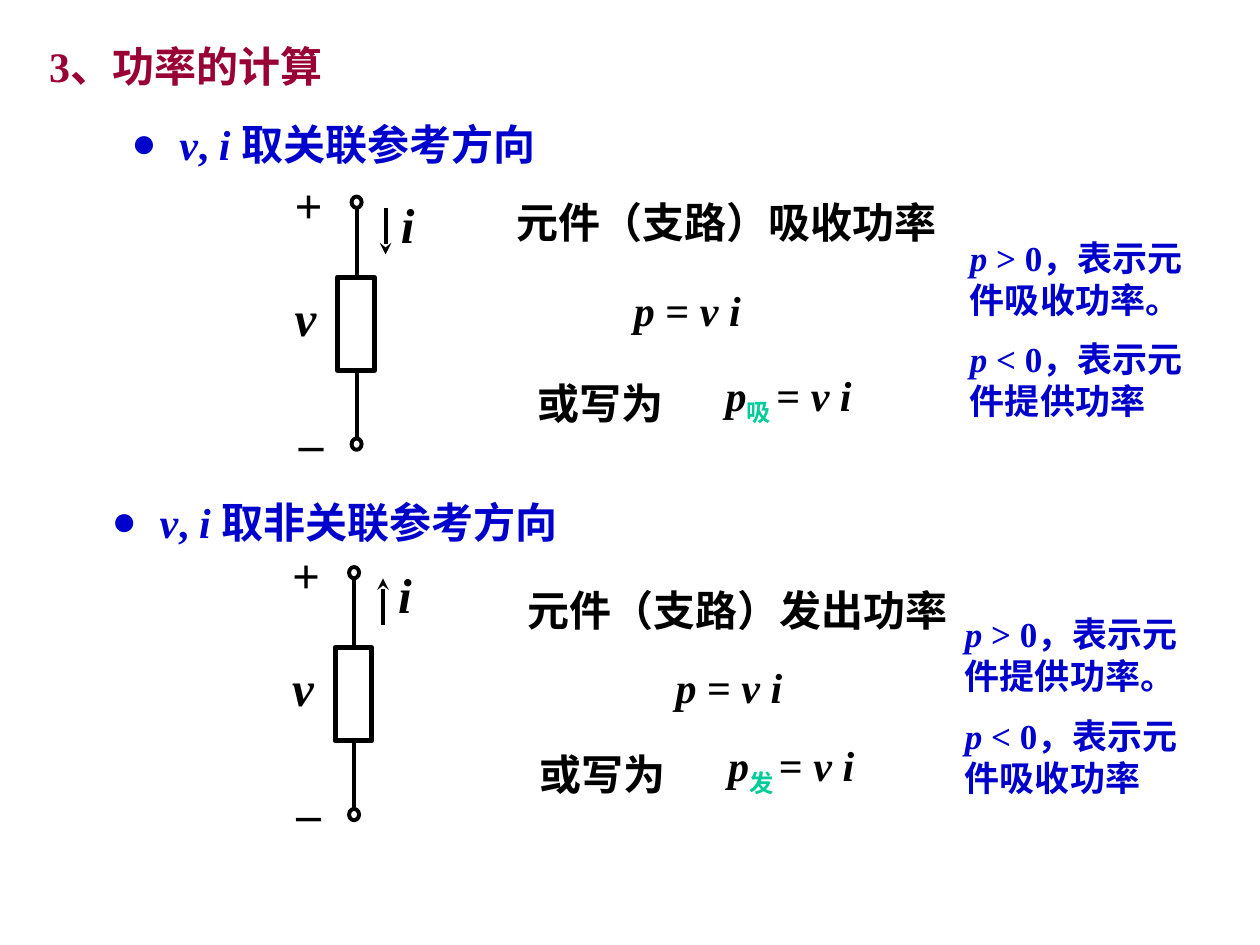
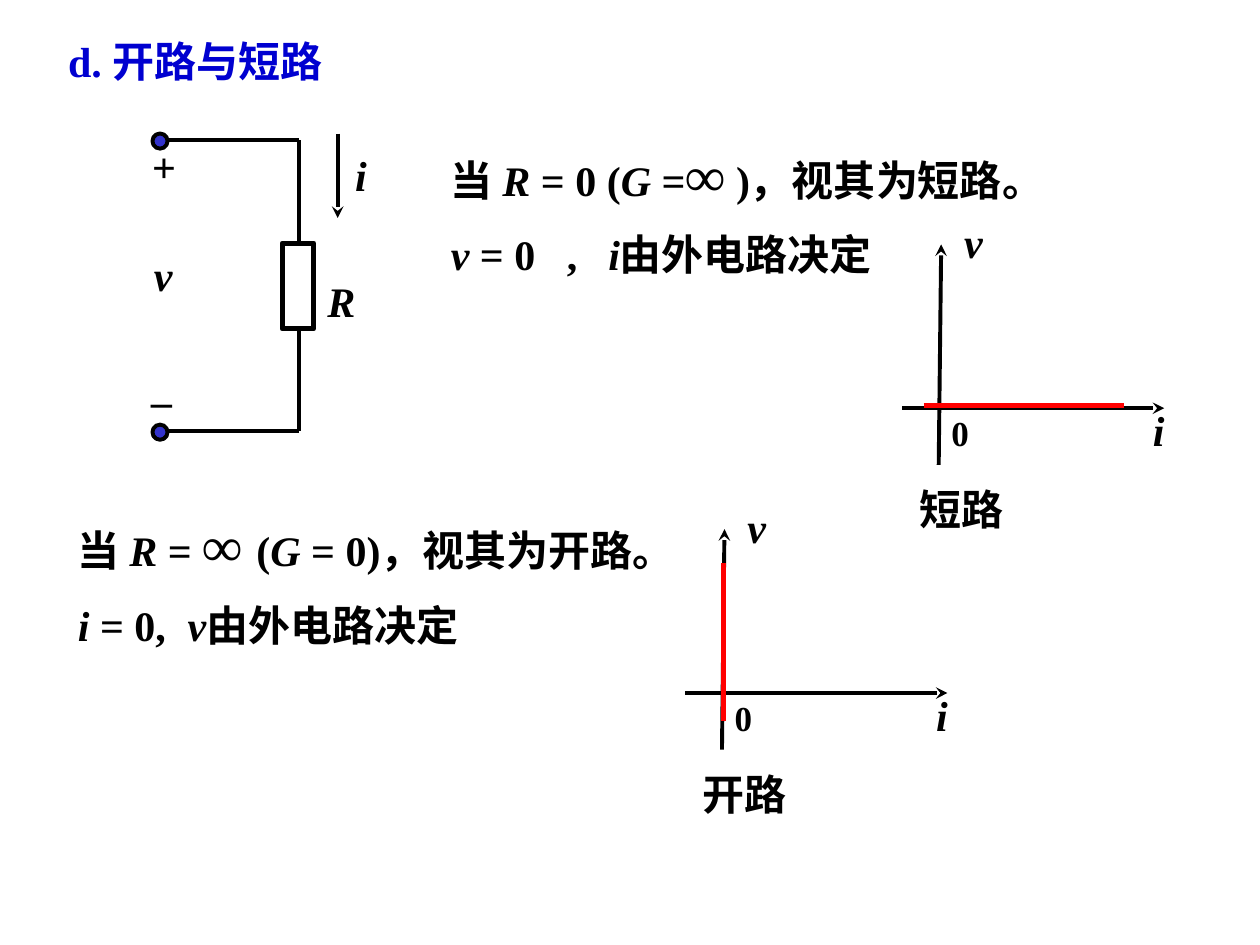
from dataclasses import dataclass

from lxml import etree
from pptx import Presentation
from pptx.dml.color import RGBColor
from pptx.enum.shapes import MSO_CONNECTOR, MSO_SHAPE
from pptx.enum.text import MSO_ANCHOR, MSO_AUTO_SIZE, PP_ALIGN
from pptx.oxml.ns import qn
from pptx.util import Inches, Pt

STRAIGHT = MSO_CONNECTOR.STRAIGHT
RECTANGLE, OVAL = MSO_SHAPE.RECTANGLE, MSO_SHAPE.OVAL
MIDDLE = MSO_ANCHOR.MIDDLE
FIT_SHAPE = MSO_AUTO_SIZE.SHAPE_TO_FIT_TEXT
LEFT, CENTER = PP_ALIGN.LEFT, PP_ALIGN.CENTER


@dataclass(frozen=True)
class Theme:
    font: str = "Times New Roman"
    black: RGBColor = RGBColor(0x00, 0x00, 0x00)
    white: RGBColor = RGBColor(0xFF, 0xFF, 0xFF)
    maroon: RGBColor = RGBColor(0x99, 0x00, 0x33)
    blue: RGBColor = RGBColor(0x00, 0x00, 0xCC)
    title_blue: RGBColor = RGBColor(0x00, 0x00, 0xD0)
    terminal: RGBColor = RGBColor(0x33, 0x33, 0xCC)
    green: RGBColor = RGBColor(0x00, 0xCC, 0x99)
    red: RGBColor = RGBColor(0xFF, 0x00, 0x00)
    note: int = 20
    text: int = 24
    symbol: int = 28
    infinity: int = 32
    wire: float = 2.25
    thick: float = 3


theme = Theme()


def put_text(page, at, lines, size=theme.text, color=theme.black, align=CENTER,
             wrap=False, box=None, bullet=None, tabs=()):
    left, top, width, height = [Inches(length) for length in at]
    box = box or page.shapes.add_textbox(left, top, width, height)
    box.left, box.top, box.width, box.height = left, top, width, height
    frame = box.text_frame
    frame.word_wrap = wrap
    frame.auto_size = FIT_SHAPE
    frame.vertical_anchor = MIDDLE
    for number, pieces in enumerate(lines):
        para = frame.add_paragraph() if number else frame.paragraphs[0]
        para.alignment = align
        para.space_before = Pt(size / 2 if number else 0)
        properties = para._p.get_or_add_pPr()
        if bullet:
            properties.set("marL", str(Inches(0.38)))
            properties.set("indent", str(-Inches(0.38)))
            etree.SubElement(properties, qn("a:buFont"), typeface=theme.font)
            etree.SubElement(properties, qn("a:buChar"), char=bullet)
        if number and tabs:
            stops = etree.SubElement(properties, qn("a:tabLst"))
            for stop in tabs:
                etree.SubElement(stops, qn("a:tab"), pos=str(Inches(stop)), algn="l")
        for words, style in pieces:
            span = para.add_run()
            span.text = words
            span.font.name = theme.font
            span.font.size = Pt(theme.infinity if style == "infinity" else size)
            span.font.bold = True
            span.font.italic = style == "italic"
            span.font.color.rgb = theme.green if style == "subscript" else color
            if style == "subscript":
                span._r.get_or_add_rPr().set("baseline", "-25000")
    return box


def draw_line(page, start, end, color=theme.black, width=theme.wire, arrow=False):
    line = page.shapes.add_connector(STRAIGHT, *[Inches(place) for place in start + end])
    line.line.color.rgb = color
    line.line.width = Pt(width)
    if arrow:
        etree.SubElement(line.line._get_or_add_ln(), qn("a:tailEnd"), type="stealth")
    etree.SubElement(line._element.spPr, qn("a:effectLst"))


deck = Presentation()
deck.slide_width, deck.slide_height = Inches(10), Inches(7.5)

page = deck.slides.add_slide(deck.slide_layouts[3])
put_text(page, (0.29, 0.27, 2.7, 0.5), [[("3、功率的计算", "")]], color=theme.maroon,
         align=LEFT, wrap=True, box=page.shapes.title)

equation = [("= ", ""), ("v i", "italic")]
cases = [
    dict(dx=0, dy=0, bullet_at=(0.56, 0.89), heading="取关联参考方向", current=(1.65, 2.02),
         power="吸收", power_at=(4, 1.51), formula_at=(4.93, 2.21), mark="吸",
         notes=("吸收", "提供"), notes_at=(7.6, 1.81)),
    dict(dx=-0.02, dy=2.94, bullet_at=(0.57, 3.89), heading="取非关联参考方向", current=(2.02, 1.65),
         power="发出", power_at=(4.09, 4.59), formula_at=(5.26, 5.2), mark="发",
         notes=("提供", "吸收"), notes_at=(7.56, 4.8)),
]
for number, case in enumerate(cases, 1):
    dx, dy = case["dx"], case["dy"]
    put_text(page, case["bullet_at"] + (4.17, 0.5),
             [[("v", "italic"), (", ", ""), ("i ", "italic"), (case["heading"], "")]],
             color=theme.blue, wrap=True, box=page.placeholders[number], bullet="●")

    for top, bottom in ((1.65, 2.2), (2.95, 3.48)):
        draw_line(page, (2.83 + dx, top + dy), (2.83 + dx, bottom + dy))
    element = page.shapes.add_shape(RECTANGLE, Inches(2.68 + dx), Inches(2.2 + dy),
                                    Inches(0.29), Inches(0.74))
    element.shadow.inherit = False
    element.fill.background()
    element.line.color.rgb = theme.black
    element.line.width = Pt(theme.thick)
    for top in (1.56, 3.48):
        terminal = page.shapes.add_shape(OVAL, Inches(2.79 + dx), Inches(top + dy),
                                         Inches(0.08), Inches(0.09))
        terminal.shadow.inherit = False
        terminal.fill.solid()
        terminal.fill.fore_color.rgb = theme.white
        terminal.line.color.rgb = theme.black
        terminal.line.width = Pt(theme.wire)
    start, end = case["current"]
    draw_line(page, (3.06 + dx, start + dy), (3.06 + dx, end + dy), arrow=True)
    for symbol, style, left, top, width, turn in (
            ("+", "", 2.23, 1.36, 0.49, 90), ("–", "", 2.17, 3.22, 0.6, 0),
            ("i", "italic", 2.97, 1.49, 0.53, 0), ("v", "italic", 2.08, 2.23, 0.69, 0)):
        label = put_text(page, (left + dx, top + dy, width, 0.57), [[(symbol, style)]],
                         size=theme.symbol, wrap=True)
        label.rotation = turn

    put_text(page, case["power_at"] + (3.55, 0.5),
             [[(f"元件（支路）{case['power']}功率", "")]], align=LEFT)
    put_text(page, case["formula_at"] + (1.05, 0.5), [[("p ", "italic")] + equation])
    put_text(page, (4.16 - dx, 2.95 + dy, 1.21, 0.5), [[("或写为", "")]])
    put_text(page, (5.66 - dx, 2.91 + dy, 1.92, 0.5),
             [[("p", "italic"), (case["mark"] + " ", "subscript")] + equation],
             align=LEFT, wrap=True)
    positive, negative = case["notes"]
    put_text(page, case["notes_at"] + (2.16, 1.6),
             [[("p ", "italic"), (f"> 0，表示元件{positive}功率。", "")],
              [("p ", "italic"), (f"< 0，表示元件{negative}功率", "")]],
             size=theme.note, color=theme.blue, align=LEFT, wrap=True)

page = deck.slides.add_slide(deck.slide_layouts[5])
put_text(page, (0.26, 0.23, 2.58, 0.5), [[("d. 开路与短路", "")]], color=theme.title_blue,
         wrap=True, box=page.shapes.title)

for start, end in (((2.37, 1.93), (2.37, 1.11)), ((2.37, 2.6), (2.37, 3.42)),
                   ((2.37, 1.11), (1.33, 1.11)), ((2.37, 3.42), (1.33, 3.42))):
    draw_line(page, start, end)
draw_line(page, (2.68, 1.06), (2.68, 1.73), arrow=True)
resistor = page.shapes.add_shape(RECTANGLE, Inches(2.24), Inches(1.93), Inches(0.25), Inches(0.68))
resistor.shadow.inherit = False
resistor.fill.background()
resistor.line.color.rgb = theme.black
resistor.line.width = Pt(theme.thick)
for top in (1.06, 3.37):
    terminal = page.shapes.add_shape(OVAL, Inches(1.21), Inches(top), Inches(0.12), Inches(0.12))
    terminal.shadow.inherit = False
    terminal.fill.solid()
    terminal.fill.fore_color.rgb = theme.terminal
    terminal.line.color.rgb = theme.black
    terminal.line.width = Pt(theme.wire)
for symbol, left, top, width, turn in (("R", 2.5, 2.14, 0.42, 0), ("i", 2.72, 1.14, 0.29, 0),
                                       ("v", 1.12, 1.93, 0.35, 0), ("+", 1.13, 1.09, 0.39, 90),
                                       ("–", 1.1, 2.92, 0.37, 0)):
    label = put_text(page, (left, top, width, 0.5), [[(symbol, "italic")]])
    label.rotation = turn

put_text(page, (3.48, 1.05, 6.2, 1.23),
         [[("当 ", ""), ("R ", "italic"), ("= 0 (", ""), ("G ", "italic"), ("=", ""),
           ("∞", "infinity"), (" ", "italic"), (")，视其为短路。", "")],
          [("v ", "italic"), ("= 0\t,\t", ""), ("i", "italic"), ("由外电路决定", "")]],
         align=LEFT, wrap=True, tabs=(0.92, 1.25))
put_text(page, (0.52, 3.99, 5.14, 1.23),
         [[("当 ", ""), ("R ", "italic"), ("= ", ""), ("∞ ", "infinity"), ("(", ""),
           ("G ", "italic"), ("= 0)，视其为开路。", "")],
          [("i ", "italic"), ("= 0,\t", ""), ("v", "italic"), ("由外电路决定", "")]],
         align=LEFT, wrap=True, tabs=(0.87,))

for caption, dx, dy, curve_start, curve_end in (
        ("短路", 0, 0, (7.33, 3.22), (8.92, 3.22)),
        ("开路", -1.72, 2.26, (5.74, 4.47), (5.74, 5.72))):
    draw_line(page, (7.16 + dx, 3.24 + dy), (9.24 + dx, 3.24 + dy), arrow=True)
    draw_line(page, (7.45 + dx, 3.69 + dy), (7.47 + dx, 1.94 + dy), arrow=True)
    draw_line(page, curve_start, curve_end, color=theme.red, width=theme.thick)
    put_text(page, (7.55 + dx, 1.67 + dy, 0.35, 0.5), [[("v", "italic")]])
    put_text(page, (9.05 + dx, 3.16 + dy, 0.29, 0.5), [[("i", "italic")]])
    put_text(page, (7.45 + dx, 3.22 + dy, 0.34, 0.43), [[("0", "")]], size=theme.note)
    put_text(page, (7.19 + dx, 3.79 + dy, 0.88, 0.5), [[(caption, "")]])

deck.save("out.pptx")
